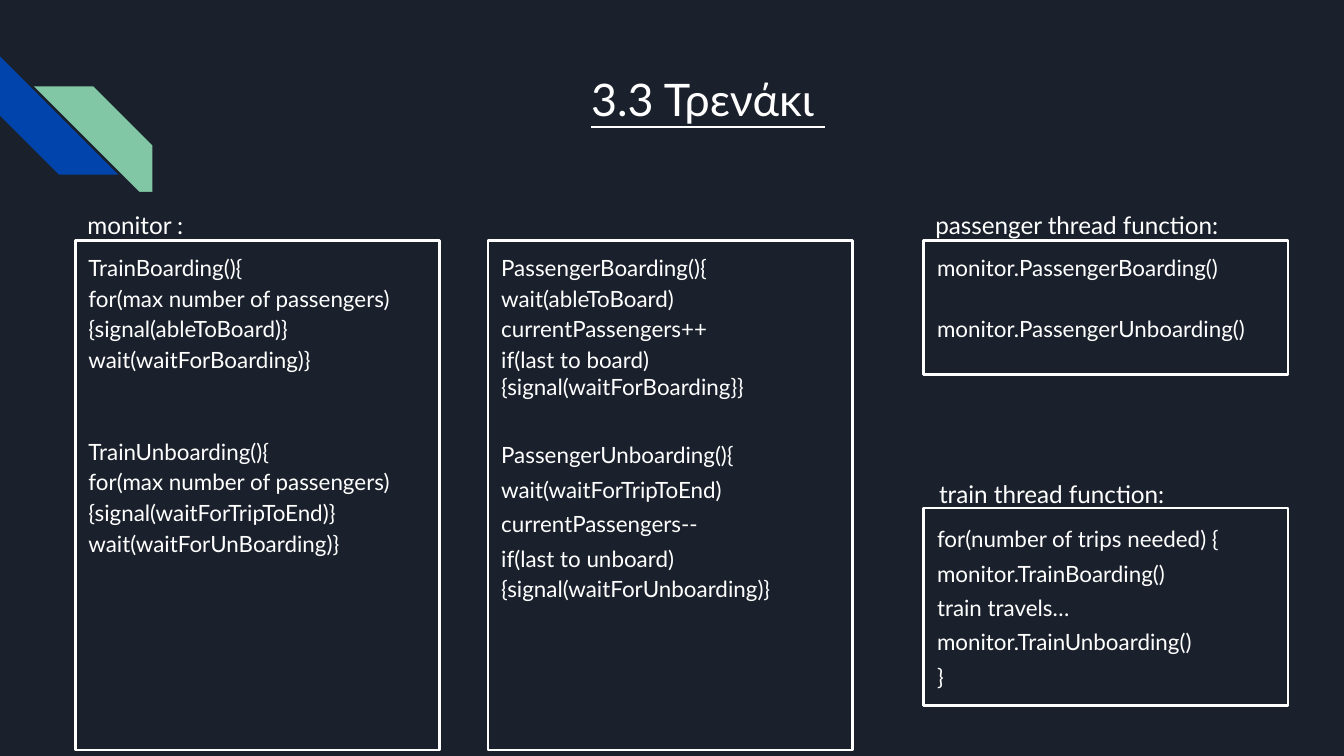
"""Build the train monitor slide with its pseudocode panels."""
from dataclasses import dataclass

from pptx import Presentation
from pptx.dml.color import RGBColor
from pptx.enum.shapes import MSO_SHAPE as Shape
from pptx.enum.text import MSO_ANCHOR as Anchor, PP_ALIGN as Align
from pptx.util import Pt


@dataclass(frozen=True)
class Theme:
    font: str = "Lato"
    background: RGBColor = RGBColor(0x1B, 0x21, 0x2C)
    text: RGBColor = RGBColor(0xFF, 0xFF, 0xFF)
    blue: RGBColor = RGBColor(0x01, 0x45, 0xAC)
    green: RGBColor = RGBColor(0x82, 0xC7, 0xA5)
    title_size: int = 24
    label_size: int = 13
    code_size: int = 12
    inset: float = 7.2


theme = Theme()


def add_block(kind, left, top, width, height, fill=None):
    block = page.shapes.add_shape(kind, Pt(left), Pt(top), Pt(width), Pt(height))
    block.shadow.inherit = False
    block.line.fill.background()
    if fill is None:
        block.fill.background()
    else:
        block.fill.solid()
        block.fill.fore_color.rgb = fill
    frame = block.text_frame
    frame.word_wrap = True
    frame.vertical_anchor = Anchor.TOP
    frame.margin_left = frame.margin_right = Pt(theme.inset)
    frame.margin_top = frame.margin_bottom = Pt(theme.inset)
    return block


def write(para, text, size, spacing=1.0, before=0, align=Align.LEFT):
    para.alignment = align
    para.line_spacing = spacing
    para.space_before = Pt(before)
    span = para.add_run()
    span.text = text
    span.font.name = theme.font
    span.font.size = Pt(size)
    span.font.color.rgb = theme.text
    return span


deck = Presentation()
deck.slide_width, deck.slide_height = Pt(720), Pt(405)
page = deck.slides.add_slide(deck.slide_layouts[6])
page.background.fill.solid()
page.background.fill.fore_color.rgb = theme.background

for left, top, turn, color in [(0, 30.2, 270, theme.blue), (18.2, 46.3, 90, theme.green)]:
    stripe = add_block(Shape.DIAGONAL_STRIPE, left, top, 63.4, 63.4, color)
    stripe.rotation = turn
add_block(Shape.RECTANGLE, 33.8, 102.8, 207.4, 36.7, theme.background)

title = page.shapes.add_textbox(Pt(102.2), Pt(31), Pt(554.4), Pt(72))
title.text_frame.word_wrap = True
title.text_frame.margin_top = Pt(theme.inset)
heading = write(title.text_frame.paragraphs[0], "3.3 Τρενάκι ", theme.title_size, align=Align.CENTER)
heading.font.underline = True

labels = [
    (39.8, 103, "mοnitor :"),
    (494, 103, "passenger thread function:"),
    (496, 247.2, "train thread function:"),
]
for left, top, text in labels:
    label = page.shapes.add_textbox(Pt(left), Pt(top), Pt(196), Pt(36))
    label.text_frame.word_wrap = True
    label.text_frame.margin_top = Pt(theme.inset)
    write(label.text_frame.paragraphs[0], text, theme.label_size, 1.15)

panels = [
    (40.3, 128.9, 272.9, [
        (0, 1.0, ["TrainBoarding(){", "for(max number of passengers)",
                  "{signal(ableToBoard)}", "wait(waitForBoarding)}"]),
        (34.8, 1.0, ["TrainUnboarding(){", "for(max number of passengers)",
                     "{signal(waitForTripToEnd)}", "wait(waitForUnBoarding)}"]),
    ]),
    (261.4, 128.9, 272.9, [
        (0, 1.0, ["PassengerBoarding(){", "wait(ableToBoard)", "currentPassengers++",
                  "if(last to board){signal(waitForBoarding}}"]),
        (20.4, 1.14, ["PassengerUnboarding(){", "wait(waitForTripToEnd)", "currentPassengers--",
                      "if(last to unboard) {signal(waitForUnboarding)}"]),
    ]),
    (494.9, 128.9, 72, [
        (0, 1.0, ["monitor.PassengerBoarding()"]),
        (18.4, 1.0, ["monitor.PassengerUnboarding()"]),
    ]),
    (494.9, 272.2, 105.8, [
        (0, 1.14, ["for(number of trips needed) {", "monitor.TrainBoarding()", "train travels…",
                   "monitor.TrainUnboarding()", "}"]),
    ]),
]
for left, top, height, functions in panels:
    panel = add_block(Shape.RECTANGLE, left, top, 195.1, height)
    panel.line.color.rgb = theme.text
    panel.line.width = Pt(1.5)
    frame = panel.text_frame
    para = frame.paragraphs[0]
    for gap, spacing, lines in functions:
        for number, text in enumerate(lines):
            if para.runs:
                para = frame.add_paragraph()
            write(para, text, theme.code_size, spacing, 2 if number else gap)

deck.save("out.pptx")
